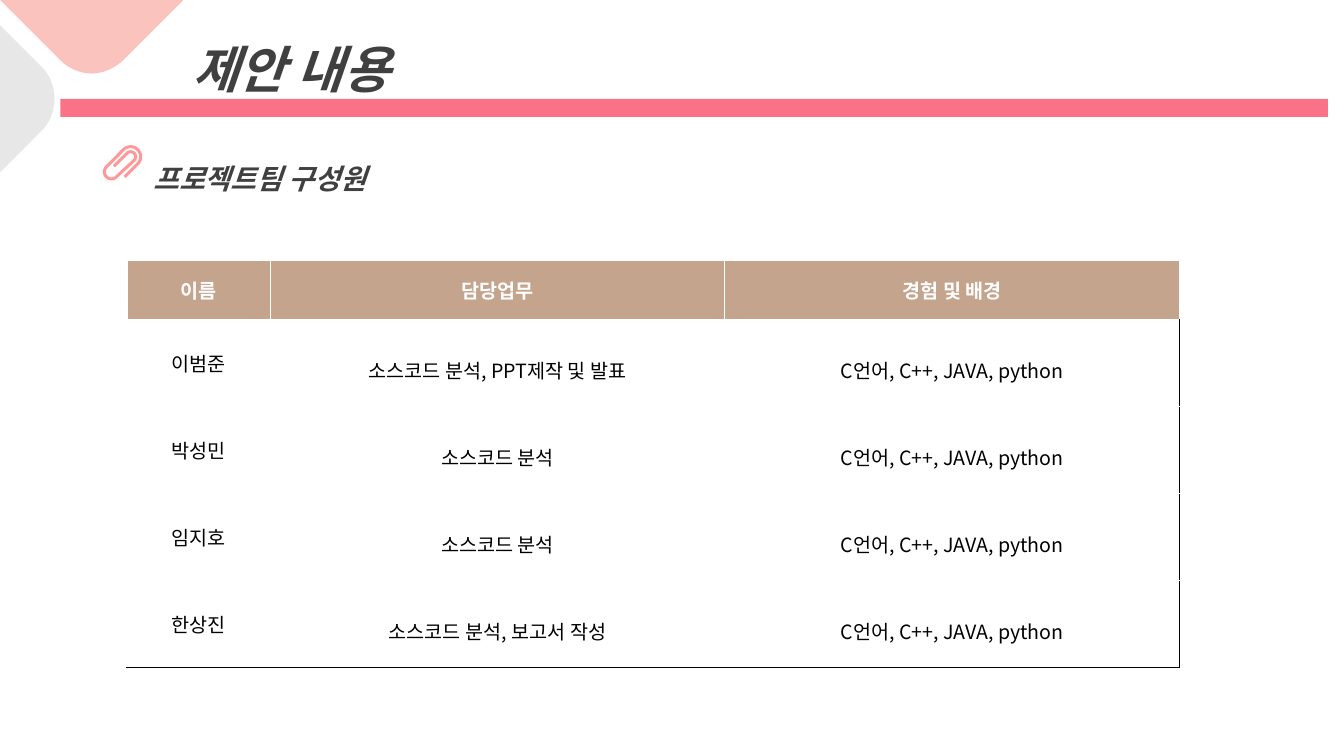
import math

import lxml.etree
import pptx
import pptx.dml.color
import pptx.enum.shapes
import pptx.enum.text
import pptx.oxml.ns
import pptx.util

Inches = pptx.util.Inches
FONT = "Noto Sans CJK KR"
COLORS = {
    "peach": "FAC3BE",
    "gray": "E7E7E7",
    "heading": "404040",
    "bar": "FA7285",
    "clip": "FF9999",
    "header": "C5A48D",
    "white": "FFFFFF",
    "black": "000000",
}
HEADERS = ["이름", "담당업무", "경험 및 배경"]
SKILLS = "C언어, C++, JAVA, python"
MEMBERS = [
    ("이범준", "소스코드 분석, PPT제작 및 발표"),
    ("박성민", "소스코드 분석"),
    ("임지호", "소스코드 분석"),
    ("한상진", "소스코드 분석, 보고서 작성"),
]


def rgb(color):
    return pptx.dml.color.RGBColor.from_string(COLORS[color])


def write_text(frame, text, size=14, color="black", bold=False, italic=False,
               align="LEFT", spacing=1.0):
    para = frame.paragraphs[0]
    para.alignment = getattr(pptx.enum.text.PP_ALIGN, align)
    para.line_spacing = spacing
    para.space_before = pptx.util.Pt(0)
    span = para.add_run()
    span.text = text
    span.font.size = pptx.util.Pt(size)
    span.font.bold = bold
    span.font.italic = italic
    span.font.color.rgb = rgb(color)
    span.font.name = FONT
    east_asian = lxml.etree.SubElement(span._r.get_or_add_rPr(), pptx.oxml.ns.qn("a:ea"))
    east_asian.set("typeface", FONT)


def curve(start, control1, control2, end, steps=12):
    points = []
    for step in range(steps + 1):
        t = step / steps
        weights = ((1 - t) ** 3, 3 * t * (1 - t) ** 2, 3 * t * t * (1 - t), t ** 3)
        corners = (start, control1, control2, end)
        points.append(tuple(sum(w * c[axis] for w, c in zip(weights, corners))
                            for axis in (0, 1)))
    return points


def half_turn(center, radius, start, steps=18):
    angles = [math.radians(start - 180 * step / steps) for step in range(steps + 1)]
    return [(center[0] + radius * math.cos(angle), center[1] + radius * math.sin(angle))
            for angle in angles]


def clip_edge(offset):
    upper, lower = (1.295, 1.555), (1.105, 1.705)
    outer = half_turn(upper, 0.1 + offset, 45)
    bottom = half_turn(lower, 0.07 + offset, 225)
    inner = half_turn(upper, 0.05 + offset, 45)
    tail = (outer[0][0] - 0.13, outer[0][1] + 0.13)
    tip = (inner[-1][0] - 0.13, inner[-1][1] + 0.13)
    return [tail] + outer + bottom + inner + [tip]


class Slide:
    def __init__(self, deck):
        self.page = deck.slides.add_slide(deck.slide_layouts[5])

    def paint(self, shape, color):
        shape.shadow.inherit = False
        shape.fill.solid()
        shape.fill.fore_color.rgb = rgb(color)
        shape.line.fill.background()

    def outline(self, points, color):
        corners = [(Inches(x), Inches(y)) for x, y in points]
        builder = self.page.shapes.build_freeform(*corners[0])
        builder.add_line_segments(corners[1:], close=True)
        self.paint(builder.convert_to_shape(), color)

    def bar(self, left, top, width, height, color):
        shape = self.page.shapes.add_shape(
            pptx.enum.shapes.MSO_SHAPE.RECTANGLE,
            Inches(left), Inches(top), Inches(width), Inches(height))
        self.paint(shape, color)

    def heading(self, box, text, left, top, width, height, size):
        box.left, box.top = Inches(left), Inches(top)
        box.width, box.height = Inches(width), Inches(height)
        frame = box.text_frame
        frame.word_wrap = True
        frame.auto_size = pptx.enum.text.MSO_AUTO_SIZE.SHAPE_TO_FIT_TEXT
        frame.vertical_anchor = pptx.enum.text.MSO_ANCHOR.TOP
        frame.margin_left = frame.margin_right = Inches(0.05)
        frame.margin_top = frame.margin_bottom = Inches(0.05)
        write_text(frame, text, size=size, color="heading", bold=True, italic=True, spacing=1.5)

    def title(self, text, *place, size):
        self.heading(self.page.shapes.title, text, *place, size)

    def subtitle(self, text, *place, size):
        box = self.page.shapes.add_textbox(0, 0, 0, 0)
        self.heading(box, text, *place, size)

    def borders(self, cell, colors):
        properties = cell._tc.get_or_add_tcPr()
        for side, color in colors.items():
            edge = lxml.etree.SubElement(properties, pptx.oxml.ns.qn("a:ln" + side))
            edge.set("w", str(pptx.util.Pt(1)))
            fill = lxml.etree.SubElement(edge, pptx.oxml.ns.qn("a:solidFill"))
            lxml.etree.SubElement(fill, pptx.oxml.ns.qn("a:srgbClr")).set("val", COLORS[color])

    def table(self, rows, left, top, widths, heights):
        frame = self.page.shapes.add_table(
            len(rows), len(widths), Inches(left), Inches(top),
            Inches(sum(widths)), Inches(sum(heights)))
        table = frame.table
        table.horz_banding = False
        for column, width in zip(table.columns, widths):
            column.width = Inches(width)
        for row, height in zip(table.rows, heights):
            row.height = Inches(height)
        last_row, last_column = len(rows) - 1, len(widths) - 1
        for r, row in enumerate(rows):
            for c, text in enumerate(row):
                cell = table.cell(r, c)
                cell.vertical_anchor = pptx.enum.text.MSO_ANCHOR.MIDDLE
                cell.margin_left = cell.margin_right = Inches(0.05)
                cell.margin_top = cell.margin_bottom = Inches(0.05)
                if r == 0:
                    cell.fill.solid()
                    cell.fill.fore_color.rgb = rgb("header")
                    write_text(cell.text_frame, text, color="white", bold=True, align="CENTER")
                    continue
                self.borders(cell, {
                    "L": "white",
                    "R": "black" if c == last_column else "white",
                    "T": "white",
                    "B": "black" if r == last_row else "white",
                })
                cell.fill.background()
                write_text(cell.text_frame, text, align="CENTER", spacing=1.5 if c else 1.0)


def main():
    deck = pptx.Presentation()
    deck.slide_width, deck.slide_height = Inches(13.33), Inches(7.5)
    slide = Slide(deck)
    slide.outline(
        [(0, 0)]
        + curve((0.6, 0.6), (0.68, 0.68), (0.8, 0.73), (0.91, 0.73))
        + curve((0.91, 0.73), (1.02, 0.73), (1.13, 0.68), (1.22, 0.6))[1:]
        + [(1.82, 0)], "peach")
    slide.outline(
        [(0, 0.25)]
        + curve((0.41, 0.66), (0.5, 0.75), (0.54, 0.86), (0.54, 0.98))
        + curve((0.54, 0.98), (0.54, 1.1), (0.5, 1.21), (0.41, 1.3))[1:]
        + [(0, 1.71)], "gray")
    slide.title("제안 내용", 1.86, 0.03, 7.66, 0.73, size=36)
    slide.bar(0.6, 0.98, 12.57, 0.18, "bar")
    slide.subtitle("프로젝트팀 구성원", 1.47, 1.39, 7.66, 0.45, size=20)
    slide.outline(clip_edge(0.015) + clip_edge(-0.015)[::-1], "clip")
    rows = [HEADERS] + [(name, task, SKILLS) for name, task in MEMBERS]
    member_height = (4.04 - 0.59) / len(MEMBERS)
    slide.table(rows, 1.26, 2.58, [1.42, 4.51, 4.51],
                [0.59] + [member_height] * len(MEMBERS))
    deck.save("out.pptx")


if __name__ == "__main__":
    main()
